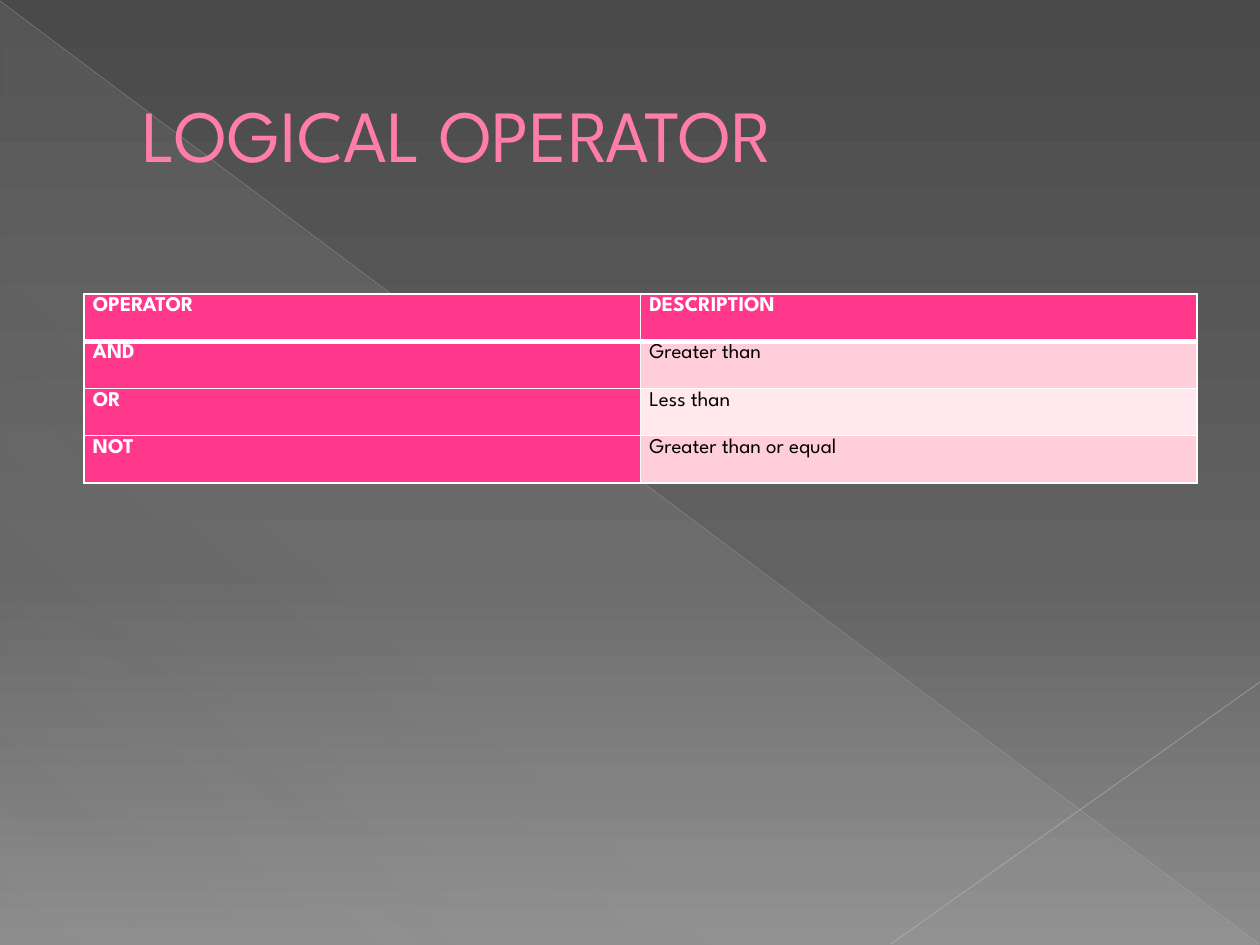
import pptx
import pptx.util
import pptx.oxml
import pptx.dml.color
import pptx.enum.shapes
import pptx.enum.text
import lxml.etree
from dataclasses import dataclass
from pptx.oxml.ns import qn

SCALE = 914400 / 126


@dataclass(frozen=True)
class Theme:
    font: str = "League Spartan"
    title: str = "FF7DA7"
    accent: str = "FF388C"
    bands: tuple = ("FFCEDA", "FFE8EE")
    light: str = "FFFFFF"
    dark: str = "000000"
    title_size: int = 42
    cell_size: int = 12
    border: int = 1
    header_border: int = 3
    background: tuple = ((0, "4A4A4A", 100), (60, "626262", 100), (100, "8C8C8C", 100))
    wedge: tuple = ((0, "D2D2D2", 10), (70, "D2D2D2", 8), (100, "D2D2D2", 1))


THEME = Theme()
ROWS = [
    ("OPERATOR", "DESCRIPTION"),
    ("AND", "Greater than"),
    ("OR", "Less than"),
    ("NOT", "Greater than or equal"),
]


def px(n):
    return pptx.util.Emu(round(n * SCALE))


def rgb(color):
    return pptx.dml.color.RGBColor.from_string(color)


def sub(parent, tag, **attrs):
    return lxml.etree.SubElement(parent, qn(tag), {k: str(v) for k, v in attrs.items()})


def add_alpha(color, percent):
    sub(color, "a:alpha", val=percent * 1000)


def set_gradient(fill, owner, stops, angle):
    fill.gradient()
    grad = owner.xpath(".//a:gradFill")[0]
    for child in list(grad):
        grad.remove(child)
    stop_list = sub(grad, "a:gsLst")
    for pos, color, opacity in stops:
        stop = sub(stop_list, "a:gs", pos=pos * 1000)
        add_alpha(sub(stop, "a:srgbClr", val=color), opacity)
    sub(grad, "a:lin", ang=angle * 60000, scaled=0)


def format_run(r, **values):
    color = values.pop("color")
    for name, value in values.items():
        setattr(r.font, name, value)
    r.font.color.rgb = rgb(color)


def add_line(s, start, end, color, width, opacity):
    line = s.shapes.add_connector(
        pptx.enum.shapes.MSO_CONNECTOR.STRAIGHT, *map(px, start + end))
    line.line.width = pptx.util.Pt(width)
    line.line.color.rgb = rgb(color)
    add_alpha(line._element.xpath(".//a:ln//a:srgbClr")[0], opacity)
    sub(line._element.spPr, "a:effectLst")


def add_backdrop(s, left, top, width, height):
    set_gradient(s.background.fill, s._element, THEME.background, 90)
    wedge = s.shapes.add_shape(
        pptx.enum.shapes.MSO_SHAPE.RIGHT_TRIANGLE,
        px(left + 1), px(top + 2), px(width - 2), px(height - 2))
    wedge.shadow.inherit = False
    wedge.line.fill.background()
    set_gradient(wedge.fill, wedge._element, THEME.wedge, 133)
    right, bottom = left + width - 1, top + height - 1
    add_line(s, (left, top + 1), (right, bottom), "BFBFBF", 0.39, 35)
    add_line(s, (left + width, top + 682), (left + 891, bottom), "C6C6C6", 0.47, 45)


def add_title(s, text, left, top, width, height):
    sp = s.shapes.title
    s.shapes._spTree.append(sp._element)
    box = dict(left=left, top=top, width=width, height=height)
    for name, value in box.items():
        setattr(sp, name, px(value))
    tf = sp.text_frame
    tf.auto_size = pptx.enum.text.MSO_AUTO_SIZE.NONE
    tf.vertical_anchor = pptx.enum.text.MSO_ANCHOR.MIDDLE
    p = tf.paragraphs[0]
    p.alignment = pptx.enum.text.PP_ALIGN.LEFT
    pPr = p._p.get_or_add_pPr()
    pPr.set("marL", str(px(67)))
    pPr.set("indent", "0")
    r = p.add_run()
    r.text = text
    format_run(r, name=THEME.font, size=pptx.util.Pt(THEME.title_size),
               bold=False, color=THEME.title)


def set_borders(cell, widths):
    tcPr = cell._tc.get_or_add_tcPr()
    for side, width in widths.items():
        ln = sub(tcPr, f"a:ln{side}", w=pptx.util.Pt(width))
        sub(sub(ln, "a:solidFill"), "a:srgbClr", val=THEME.light)


def fill_cell(cell, text, row, col):
    heading = row == 0 or col == 0
    top = THEME.header_border if row == 1 else THEME.border
    bottom = THEME.header_border if row == 0 else THEME.border
    set_borders(cell, dict(L=THEME.border, R=THEME.border, T=top, B=bottom))
    margins = dict(margin_left=9, margin_right=9, margin_top=0, margin_bottom=0)
    for name, value in margins.items():
        setattr(cell, name, px(value))
    cell.fill.solid()
    cell.fill.fore_color.rgb = rgb(THEME.accent if heading else THEME.bands[(row - 1) % 2])
    p = cell.text_frame.paragraphs[0]
    p.line_spacing = 1.15
    p.space_after = pptx.util.Pt(10)
    r = p.add_run()
    r.text = text
    format_run(r, name=THEME.font, size=pptx.util.Pt(THEME.cell_size),
               bold=heading, color=THEME.light if heading else THEME.dark)


def add_operator_table(s, rows, left, top, width, height):
    frame = s.shapes.add_table(
        len(rows), len(rows[0]), px(left), px(top), px(width), px(height))
    table = frame.table
    table.first_col = True
    for i, row in enumerate(rows):
        for j, text in enumerate(row):
            fill_cell(table.cell(i, j), text, i, j)


def main():
    prs = pptx.Presentation()
    prs.slide_width, prs.slide_height = px(1260), px(945)
    s = prs.slides.add_slide(prs.slide_layouts[5])
    add_backdrop(s, 0, 0, 1260, 945)
    add_title(s, "LOGICAL OPERATOR", 63, 37, 1134, 193)
    add_operator_table(s, ROWS, 84, 294, 1113, 189)
    prs.save("out.pptx")


if __name__ == "__main__":
    main()
